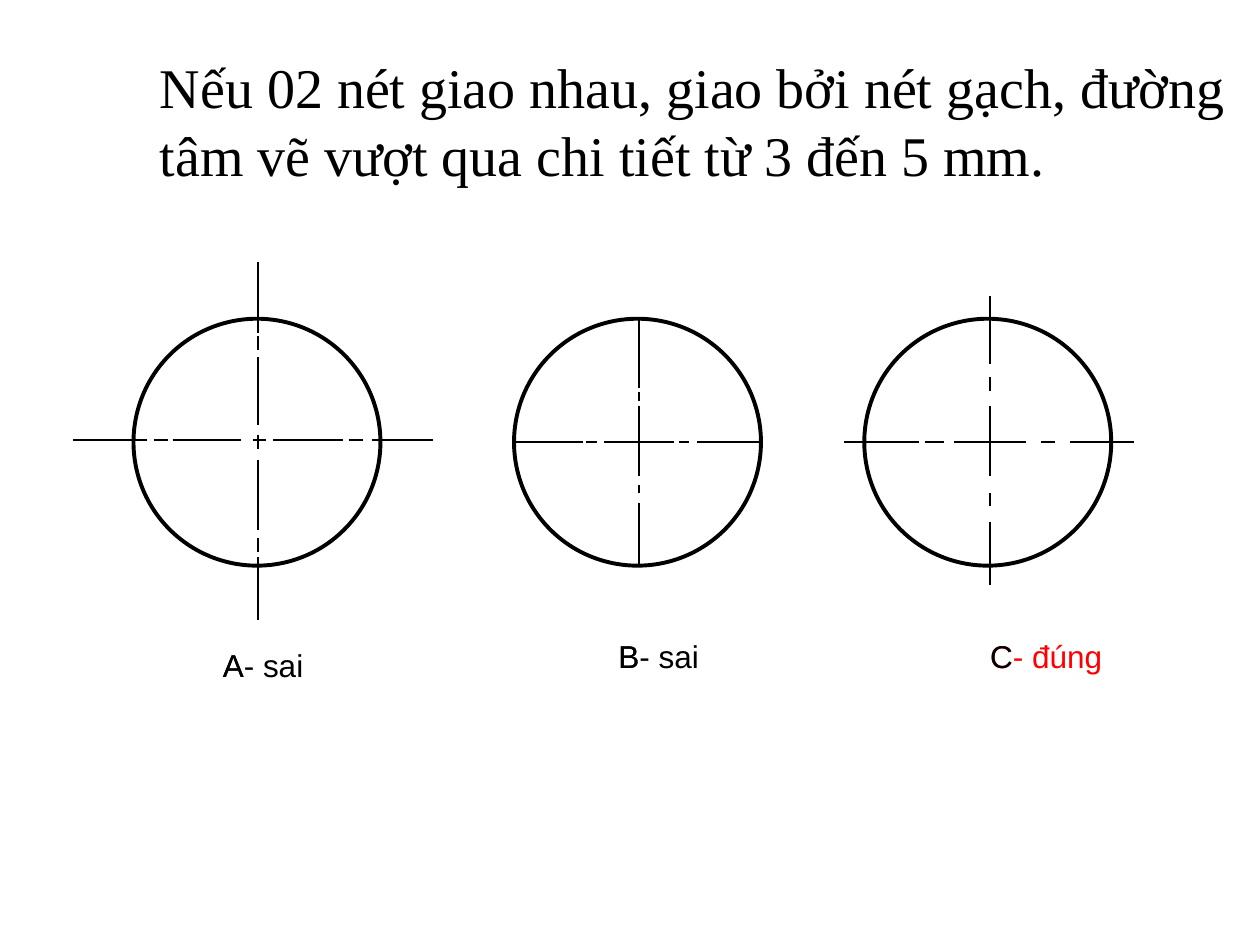
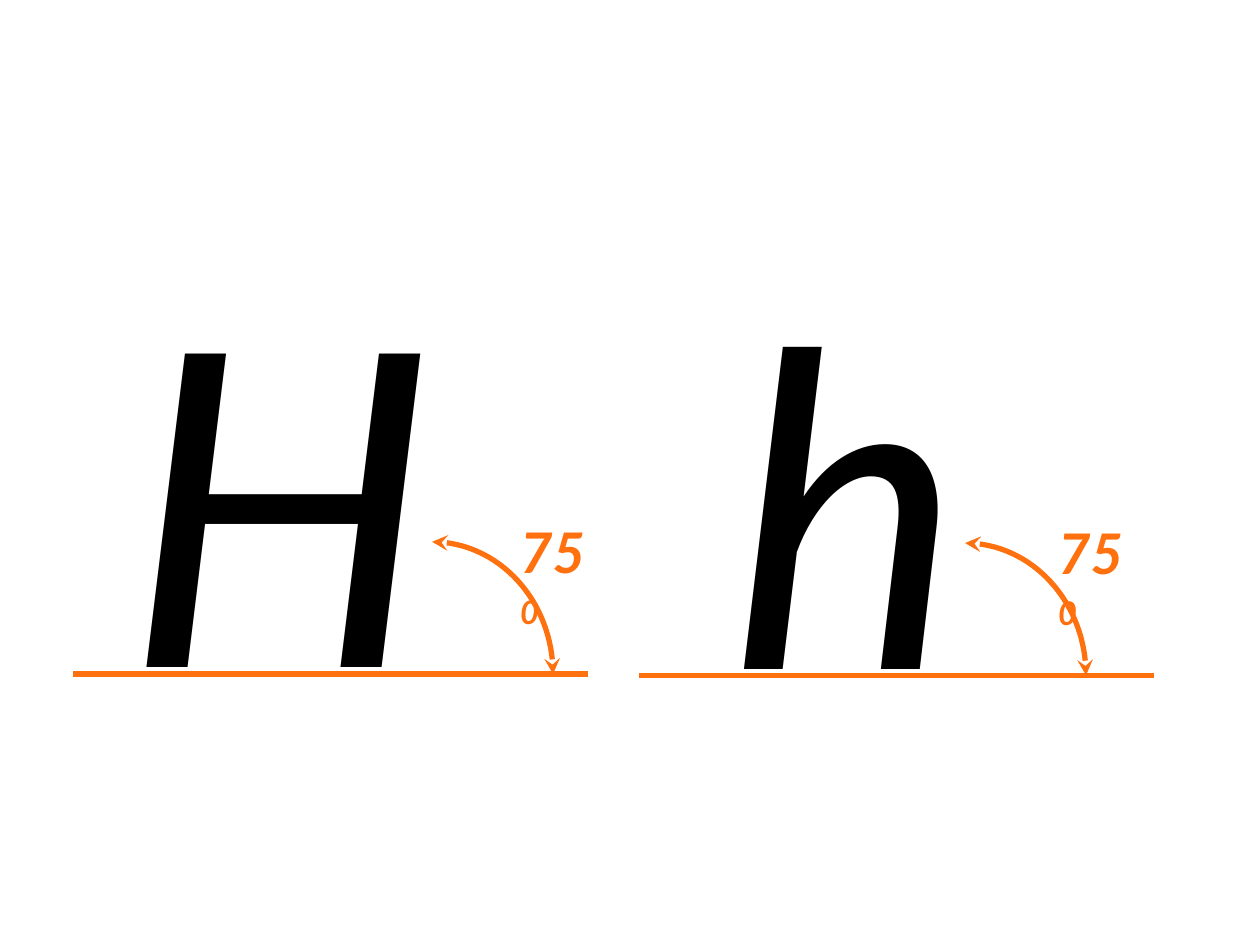
from dataclasses import dataclass
from math import cos, pi, sin

from lxml.etree import SubElement
from pptx import Presentation
from pptx.dml.color import RGBColor
from pptx.enum.shapes import MSO_CONNECTOR as Connector, MSO_SHAPE as Preset
from pptx.enum.text import PP_ALIGN as Align
from pptx.oxml.ns import qn
from pptx.util import Inches, Pt


@dataclass(frozen=True)
class Theme:
    ink: RGBColor = RGBColor(0x00, 0x00, 0x00)
    correct: RGBColor = RGBColor(0xFF, 0x00, 0x00)
    guide: RGBColor = RGBColor(0xFF, 0x70, 0x0F)
    title_font: str = "Times New Roman"
    label_font: str = "Arial"
    letter_font: str = "Lato"
    title_size: int = 32
    label_size: int = 18
    letter_size: int = 250
    angle_size: int = 32
    dash_width: float = 1
    outline_width: float = 2.25
    guide_width: float = 3


class Deck:
    def __init__(self, theme):
        self.theme = theme
        self.deck = Presentation()
        self.deck.slide_width, self.deck.slide_height = Inches(10), Inches(7.5)
        self.slide = None

    def new_slide(self):
        self.slide = self.deck.slides.add_slide(self.deck.slide_layouts[6])

    def text(self, left, top, width, height, content, font, size, color,
             italic=False, bold=False, align=Align.LEFT):
        box = self.slide.shapes.add_textbox(
            Inches(left), Inches(top), Inches(width), Inches(height))
        box.text_frame.word_wrap = True
        paragraph = box.text_frame.paragraphs[0]
        paragraph.alignment = align
        for part in content:
            run = paragraph.add_run()
            run.text = part
            run.font.name, run.font.size = font, Pt(size)
            run.font.italic, run.font.bold = italic, bold
            run.font.color.rgb = color
        return paragraph

    def line(self, x1, y1, x2, y2, color, width):
        stroke = self.slide.shapes.add_connector(
            Connector.STRAIGHT, Inches(x1), Inches(y1), Inches(x2), Inches(y2))
        stroke.line.color.rgb, stroke.line.width = color, Pt(width)
        SubElement(stroke.line._get_or_add_ln().getparent(), qn("a:effectLst"))

    def outline(self, shape, color, width):
        shape.shadow.inherit = False
        shape.fill.background()
        shape.line.color.rgb, shape.line.width = color, Pt(width)

    def circle(self, left, top, diameter):
        ring = self.slide.shapes.add_shape(
            Preset.OVAL, Inches(left), Inches(top), Inches(diameter), Inches(diameter))
        self.outline(ring, self.theme.ink, self.theme.outline_width)

    def centre_lines(self, x, y, vertical, horizontal):
        style = self.theme.ink, self.theme.dash_width
        for start, end in vertical:
            self.line(x, start, x, end, *style)
        for start, end in horizontal:
            self.line(start, y, end, y, *style)

    def angle_arc(self, left, top, width, height, steps=32):
        angles = [pi / 2 * i / steps for i in range(steps + 1)]
        points = [(Inches(left + width * sin(a)), Inches(top + height * (1 - cos(a))))
                  for a in angles]
        builder = self.slide.shapes.build_freeform(*points[0])
        builder.add_line_segments(points[1:], close=False)
        arc = builder.convert_to_shape()
        self.outline(arc, self.theme.guide, self.theme.guide_width)
        for end in ("a:headEnd", "a:tailEnd"):
            SubElement(arc.line._get_or_add_ln(), qn(end), type="stealth")

    def title(self, left, top, width, height, content, indent):
        theme = self.theme
        paragraph = self.text(left, top, width, height, [content],
                              theme.title_font, theme.title_size, theme.ink)
        paragraph.level = 1
        properties = paragraph._p.get_or_add_pPr()
        properties.set("marL", str(Inches(indent)))
        properties.set("indent", "0")

    def label(self, left, top, width, content, color):
        self.text(left, top, width, 0.4, [content],
                  self.theme.label_font, self.theme.label_size, color)

    def slanted_letter(self, letter, top, letter_x, base_x, arc_x, angle_x):
        theme = self.theme
        self.text(letter_x, top, 3.01, 4.27, [letter], theme.letter_font,
                  theme.letter_size, theme.ink, italic=True, align=Align.CENTER)
        base_y = top + 3.57
        self.line(base_x, base_y, base_x + 4.09, base_y, theme.guide, theme.guide_width)
        self.angle_arc(arc_x, top + 2.52, 0.96, 1.05)
        angle = self.text(angle_x, top + 2.28, 0.83, 0.64, ["75", "0"], theme.letter_font,
                          theme.angle_size, theme.guide, italic=True, bold=True)
        angle.runs[1].font._element.set("baseline", "30000")


def build_centre_line_slide(deck):
    theme = deck.theme
    deck.new_slide()

    # Circles with their centre lines: circle left, axis x and y, dashes down and across
    figures = [
        (6.86, 7.86, 3.51,
         [(2.35, 2.89), (2.99, 3.1), (3.22, 3.78), (3.91, 4.02), (4.14, 4.64)],
         [(6.7, 7.29), (7.34, 7.49), (7.57, 8.14), (8.26, 8.37), (8.49, 9)]),
        (1.06, 2.05, 3.49,
         [(2.08, 2.64), (2.67, 2.78), (2.83, 3.37), (3.45, 3.56), (3.65, 4.21),
          (4.27, 4.38), (4.42, 4.92)],
         [(0.58, 1.17), (1.22, 1.33), (1.37, 1.91), (2.01, 2.11), (2.17, 2.72),
          (2.77, 2.88), (2.95, 3.44)]),
        (4.08, 5.07, 3.51,
         [(2.54, 3.08), (3.11, 3.18), (3.22, 3.78), (3.85, 3.91), (3.99, 4.49)],
         [(4.08, 4.63), (4.65, 4.74), (4.79, 5.35), (5.39, 5.47), (5.53, 6.03)]),
    ]
    for circle_left, *axes in figures:
        deck.circle(circle_left, 2.53, 1.96)
        deck.centre_lines(*axes)

    # Verdicts, each with its letter set again in black on top
    verdicts = [
        (1.67, 5.08, 0.92, "A", "- sai", theme.ink),
        (7.76, 5.01, 1.16, "C", "- đúng", theme.correct),
        (4.81, 5.01, 0.86, "B", "- sai", theme.ink),
    ]
    for left, top, width, letter, verdict, color in verdicts:
        deck.label(left, top, width, letter + verdict, color)
        deck.label(left, top, width, letter, theme.ink)

    # Rule
    deck.title(0.67, 0.37, 9.17, 1.17,
               "Nếu 02 nét giao nhau, giao bởi nét gạch, đường tâm vẽ vượt qua "
               "chi tiết từ 3 đến 5 mm.", indent=0.5)


def build_lettering_slide(deck):
    deck.new_slide()
    # Capital and small letter at 75 degrees to the base line
    deck.slanted_letter("H", 1.78, letter_x=0.72, base_x=0.58, arc_x=3.43, angle_x=4.03)
    deck.slanted_letter("h", 1.79, letter_x=5.22, base_x=5.07, arc_x=7.66, angle_x=8.3)


def main():
    deck = Deck(Theme())
    build_centre_line_slide(deck)
    build_lettering_slide(deck)
    deck.deck.save("out.pptx")


if __name__ == "__main__":
    main()
